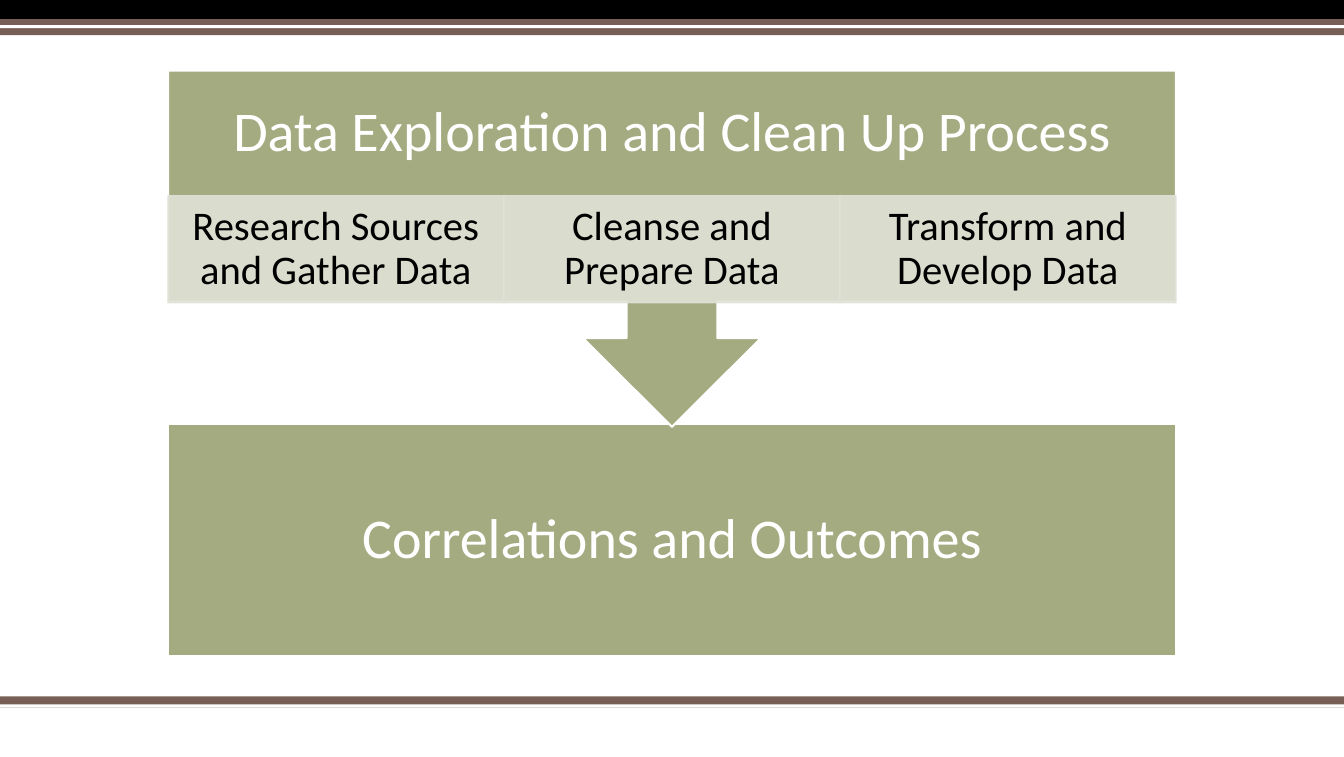
from lxml import etree
from pptx import Presentation
from pptx.dml.color import RGBColor
from pptx.enum.shapes import MSO_SHAPE
from pptx.enum.text import MSO_ANCHOR, PP_ALIGN
from pptx.oxml.ns import qn
from pptx.util import Inches, Pt

RECTANGLE = MSO_SHAPE.RECTANGLE
MIDDLE = MSO_ANCHOR.MIDDLE
CENTER = PP_ALIGN.CENTER

WIDTH, HEIGHT = 13.32, 7.5
COLUMNS, ROWS = 8, 75

BLACK, WHITE, BROWN = "000000", "FFFFFF", "775F55"
SAGE, PALE_SAGE = "A5AB81", "E0E2D7"


def color(hex_value):
    return RGBColor.from_string(hex_value)


def assign(target, values):
    for name, value in values.items():
        setattr(target, name, value)


class ProcessSlide:
    """Holds the text style and the slide, measured in grid columns and rows."""

    font = "Calibri"
    heading = {"size": 40, "ink": WHITE, "before": 16, "side": 0.31, "edge": 0.31}
    label = {"size": 29, "ink": BLACK, "before": 12, "side": 0.23, "edge": 0.04}

    def __init__(self, presentation):
        self.slide = presentation.slides.add_slide(presentation.slide_layouts[6])

    def x(self, columns):
        return Inches(WIDTH / COLUMNS * columns)

    def y(self, rows):
        return Inches(HEIGHT / ROWS * rows)

    def place(self, column, row, columns, rows):
        return self.x(column), self.y(row), self.x(columns), self.y(rows)

    def paint(self, shape, fill, line=None, weight=0, opacity=100):
        shape.shadow.inherit = False
        shape.fill.solid()
        shape.fill.fore_color.rgb = color(fill)
        if line:
            shape.line.color.rgb = color(line)
            shape.line.width = Pt(weight)
        else:
            shape.line.fill.background()
        if opacity < 100:
            for rgb in shape._element.spPr.iter(qn("a:srgbClr")):
                etree.SubElement(rgb, qn("a:alpha"), val=str(opacity * 1000))

    def box(self, grid, fill, **look):
        shape = self.slide.shapes.add_shape(RECTANGLE, *self.place(*grid))
        self.paint(shape, fill, **look)
        return shape

    def outline(self, points, fill, **look):
        corners = [(self.x(column), self.y(row)) for column, row in points]
        builder = self.slide.shapes.build_freeform(*corners[0])
        builder.add_line_segments(corners[1:], close=True)
        self.paint(builder.convert_to_shape(), fill, **look)

    def caption(self, shape, text, style):
        frame = shape.text_frame
        side, edge = Inches(style["side"]), Inches(style["edge"])
        assign(frame, {"word_wrap": True, "vertical_anchor": MIDDLE,
                       "margin_left": side, "margin_right": side,
                       "margin_top": edge, "margin_bottom": edge})
        paragraph = frame.paragraphs[0]
        assign(paragraph, {"alignment": CENTER, "line_spacing": 0.9,
                           "space_before": Pt(style["before"])})
        run = paragraph.add_run()
        run.text = text
        assign(run.font, {"name": self.font, "size": Pt(style["size"])})
        run.font.color.rgb = color(style["ink"])

    def label_area(self, grid, text, style):
        area = self.slide.shapes.add_textbox(*self.place(*grid))
        self.caption(area, text, style)


def main():
    presentation = Presentation()
    assign(presentation, {"slide_width": Inches(WIDTH), "slide_height": Inches(HEIGHT)})
    page = ProcessSlide(presentation)

    # Bands across the bottom and top
    for row, rows, fill in [(69, 1.1, BROWN), (69.8, 0.3, WHITE), (0, 1.9, BLACK),
                            (1.9, 1.6, BROWN), (2.5, 0.3, WHITE)]:
        page.box((0, row, COLUMNS, rows), fill)

    # Result block
    outcomes = page.box((1, 42, 6, 23), SAGE, line=WHITE, weight=1.5)
    page.caption(outcomes, "Correlations and Outcomes", page.heading)

    # Process block with its arrow, symmetric about the middle column
    middle, shaft, head = COLUMNS / 2, 0.27, 0.53
    right_half = [(3, 7), (3, 29.9), (shaft, 29.9), (shaft, 33.5), (head, 33.5)]
    process = [(middle + offset, row) for offset, row in right_half]
    process.append((middle, 42.3))
    process += [(middle - offset, row) for offset, row in reversed(right_half)]
    page.outline(process, SAGE, line=WHITE, weight=1.5)
    page.label_area((1, 7, 6, 12.4), "Data Exploration and Clean Up Process", page.heading)

    # Process steps
    steps = ["Research Sources and Gather Data", "Cleanse and Prepare Data",
             "Transform and Develop Data"]
    for index, step in enumerate(steps):
        tile = page.box((1 + 2 * index, 19.4, 2, 10.6), PALE_SAGE,
                        line=PALE_SAGE, weight=1, opacity=90)
        page.caption(tile, step, page.label)

    presentation.save("out.pptx")


if __name__ == "__main__":
    main()
